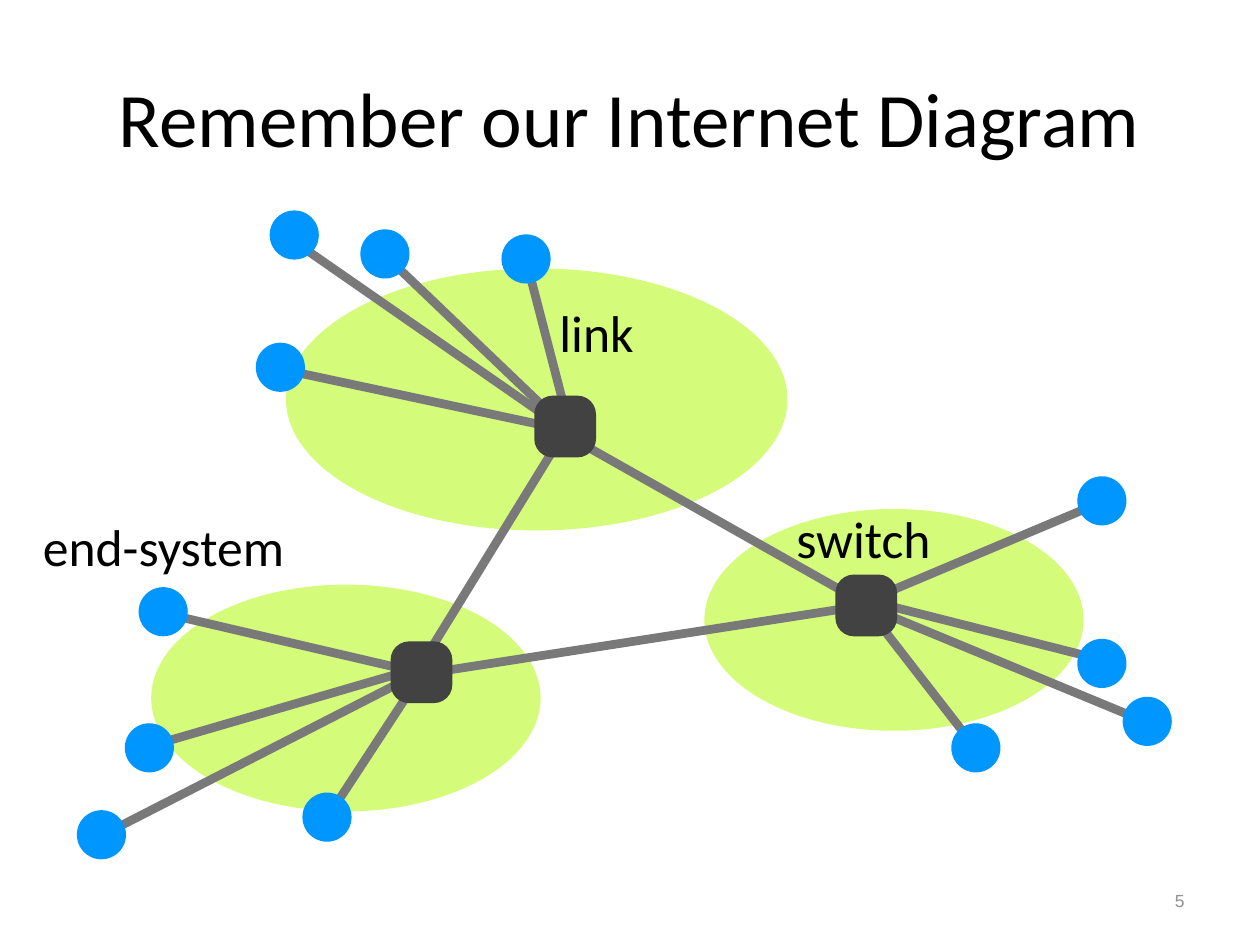
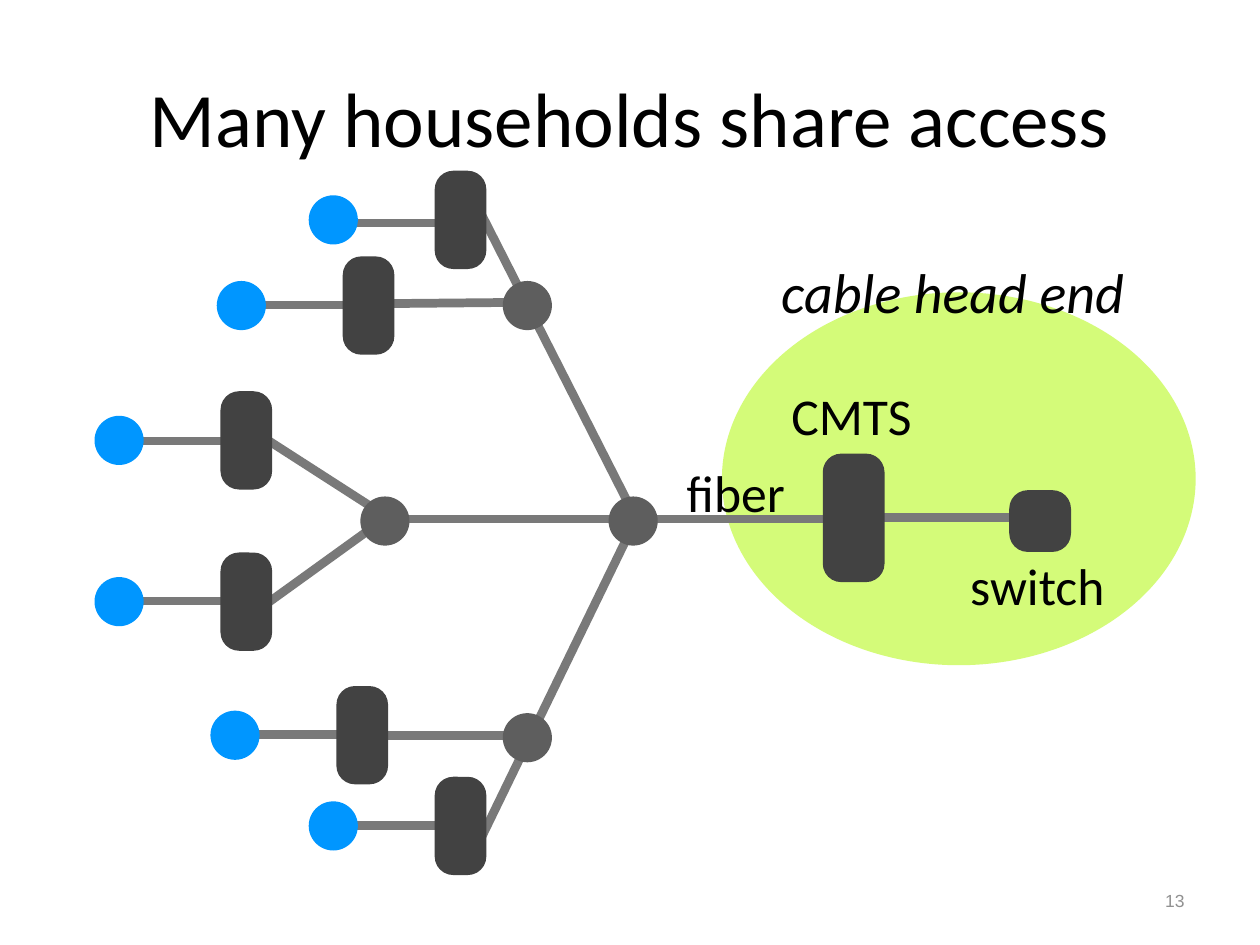
from dataclasses import dataclass

import pptx
import pptx.dml.color
import pptx.enum.shapes
import pptx.enum.text
import pptx.oxml.ns
import pptx.presentation
import pptx.shapes.autoshape
import pptx.slide
import pptx.util
from lxml import etree
from pptx.util import Inches

Slide = pptx.slide.Slide
Point = tuple[float, float]
Box = tuple[float, float, float, float]
SHAPE = pptx.enum.shapes.MSO_SHAPE
ALIGN = pptx.enum.text.PP_ALIGN


@dataclass(frozen=True)
class Theme:
    cloud: str = "D4FB79"
    computer: str = "0096FF"
    device: str = "424242"
    splitter: str = "5E5E5E"
    cable: str = "797979"
    ink: str = "000000"
    muted: str = "919191"
    font: str = "Calibri"
    number_font: str = "Arial"
    title_size: float = 44
    caption_size: float = 32
    label_size: float = 29.5
    number_size: float = 10
    cable_width: float = 5


THEME = Theme()
DISK = 0.39
SWITCH = 0.49
MODEM_WIDTH, MODEM_HEIGHT = 0.41, 0.78
MODEM_OFFSET = 1.0  # from the left of a computer to the left of its modem


@dataclass(frozen=True)
class Link:
    start: Point
    end: Point


@dataclass(frozen=True)
class EndSystem:
    corner: Point
    link: Link


@dataclass(frozen=True)
class Network:
    cloud: Box
    switch: Point
    end_systems: tuple[EndSystem, ...]


@dataclass(frozen=True)
class Household:
    computer: Point
    cable_y: float


@dataclass(frozen=True)
class Label:
    text: str
    box: Box
    wrap: bool = False
    size: float = THEME.label_size
    italic: bool = False


# Shared drawing functions

def rgb(colour: str) -> pptx.dml.color.RGBColor:
    return pptx.dml.color.RGBColor.from_string(colour)


def add_text(slide: Slide, text: str, box: Box, *, size: float, font: str = THEME.font,
             colour: str = THEME.ink, align: ALIGN = ALIGN.LEFT, italic: bool = False,
             wrap: bool = True, grow: bool = False, inset: float | None = None) -> None:
    frame = slide.shapes.add_textbox(*map(Inches, box)).text_frame
    frame.word_wrap = wrap
    frame.vertical_anchor = pptx.enum.text.MSO_ANCHOR.MIDDLE
    if grow:
        frame.auto_size = pptx.enum.text.MSO_AUTO_SIZE.SHAPE_TO_FIT_TEXT
    if inset is not None:
        frame.margin_left = frame.margin_right = Inches(inset)
        frame.margin_top = frame.margin_bottom = Inches(inset)
    paragraph = frame.paragraphs[0]
    paragraph.alignment = align
    run = paragraph.add_run()
    run.text = text
    run.font.name = font
    run.font.size = pptx.util.Pt(size)
    run.font.italic = italic
    run.font.color.rgb = rgb(colour)


def add_label(slide: Slide, label: Label) -> None:
    add_text(slide, label.text, label.box, size=label.size, italic=label.italic,
             wrap=label.wrap, grow=True, inset=0.04)


def add_filled(slide: Slide, kind: SHAPE, box: Box,
               colour: str) -> pptx.shapes.autoshape.Shape:
    shape = slide.shapes.add_shape(kind, *map(Inches, box))
    shape.shadow.inherit = False
    shape.fill.solid()
    shape.fill.fore_color.rgb = rgb(colour)
    shape.line.fill.background()
    return shape


def add_cloud(slide: Slide, box: Box) -> None:
    add_filled(slide, SHAPE.OVAL, box, THEME.cloud)


def add_disk(slide: Slide, corner: Point, colour: str = THEME.computer) -> None:
    add_filled(slide, SHAPE.OVAL, (*corner, DISK, DISK), colour)


def add_device(slide: Slide, corner: Point, width: float = SWITCH,
               height: float = SWITCH, rounding: float = 0.3) -> None:
    device = add_filled(slide, SHAPE.ROUNDED_RECTANGLE, (*corner, width, height), THEME.device)
    device.adjustments[0] = rounding


def add_link(slide: Slide, link: Link) -> None:
    cable = slide.shapes.add_connector(pptx.enum.shapes.MSO_CONNECTOR.STRAIGHT,
                                       *map(Inches, (*link.start, *link.end)))
    cable.line.color.rgb = rgb(THEME.cable)
    cable.line.width = pptx.util.Pt(THEME.cable_width)
    etree.SubElement(cable._element.spPr, pptx.oxml.ns.qn("a:effectLst"))


def new_slide(deck: pptx.presentation.Presentation, title: str, number: int) -> Slide:
    slide = deck.slides.add_slide(deck.slide_layouts[6])
    add_text(slide, title, (0.5, 0.3, 9, 1.25), size=THEME.title_size, align=ALIGN.CENTER)
    add_text(slide, str(number), (7.17, 6.95, 2.33, 0.4), size=THEME.number_size,
             font=THEME.number_font, colour=THEME.muted, align=ALIGN.RIGHT)
    return slide


# Internet diagram

NETWORKS = (
    Network((5.59, 4.04, 3.01, 1.76), (6.63, 4.56), (
        EndSystem((8.55, 3.78), Link((8.73, 3.99), (6.83, 4.79))),
        EndSystem((8.55, 5.07), Link((8.72, 5.23), (6.9, 4.77))),
        EndSystem((8.91, 5.53), Link((9.12, 5.74), (6.85, 4.8))),
        EndSystem((7.55, 5.74), Link((7.73, 5.92), (6.9, 4.85))),
    )),
    Network((2.27, 2.13, 3.98, 2.08), (4.24, 3.14), (
        EndSystem((2.03, 2.72), Link((2.23, 2.93), (4.43, 3.4))),
        EndSystem((2.14, 1.67), Link((2.34, 1.92), (4.4, 3.35))),
        EndSystem((2.86, 1.82), Link((3.06, 2.03), (4.43, 3.34))),
        EndSystem((3.98, 1.86), Link((4.19, 2.12), (4.53, 3.43))),
    )),
    Network((1.2, 4.64, 3.09, 1.8), (3.1, 5.09), (
        EndSystem((1.1, 4.66), Link((1.27, 4.86), (3.29, 5.33))),
        EndSystem((0.99, 5.74), Link((1.16, 5.93), (3.29, 5.31))),
        EndSystem((0.61, 6.43), Link((0.77, 6.65), (3.27, 5.37))),
        EndSystem((2.4, 6.29), Link((2.63, 6.44), (3.33, 5.37))),
    )),
)
BACKBONE = (
    Link((4.42, 3.41), (6.88, 4.8)),
    Link((4.49, 3.41), (3.34, 5.28)),
    Link((6.9, 4.8), (3.35, 5.35)),
)
INTERNET_LABELS = (
    Label("end-system", (0.3, 4.04, 2.28, 0.58), wrap=True),
    Label("switch", (6.28, 3.98, 1.23, 0.58)),
    Label("link", (4.4, 2.34, 0.7, 0.58)),
)


def build_internet(deck: pptx.presentation.Presentation) -> None:
    slide = new_slide(deck, "Remember our Internet Diagram", 5)
    end_systems = [system for network in NETWORKS for system in network.end_systems]
    for network in NETWORKS:
        add_cloud(slide, network.cloud)
    for link in (*(system.link for system in end_systems), *BACKBONE):
        add_link(slide, link)
    for system in end_systems:
        add_disk(slide, system.corner)
    for label in INTERNET_LABELS:
        add_label(slide, label)
    for network in NETWORKS:
        add_device(slide, network.switch)


# Shared cable access

HOUSEHOLDS = (
    Household((2.45, 1.55), 1.77),
    Household((1.72, 2.23), 2.42),
    Household((0.75, 3.3), 3.5),
    Household((0.75, 4.58), 4.77),
    Household((1.67, 5.64), 5.83),
    Household((2.45, 6.36), 6.55),
)
SPLITTERS = ((3.99, 2.23), (2.86, 3.94), (3.99, 5.66), (4.83, 3.94))
SHARED_CABLES = (
    Link((2.88, 5.84), (4.19, 5.84)),
    Link((3.81, 6.67), (5, 4.22)),
    Link((3.78, 1.62), (5.03, 4.08)),
    Link((2.05, 4.84), (3.09, 4.09)),
    Link((3.03, 2.41), (4.1, 2.4)),
    Link((2.12, 3.49), (3.13, 4.14)),
    Link((3.15, 4.12), (5, 4.12)),
    Link((5.02, 4.12), (6.86, 4.12)),
    Link((6.94, 4.11), (8.33, 4.11)),
)
ACCESS_LABELS = (
    Label("switch", (7.66, 4.35, 1.23, 0.58)),
    Label("CMTS", (6.24, 3.01, 1.25, 0.57)),
    Label("fiber", (5.41, 3.61, 0.88, 0.58)),
    Label("cable head end", (6.16, 2, 3.2, 0.62), wrap=True,
          size=THEME.caption_size, italic=True),
)


def add_household(slide: Slide, household: Household) -> None:
    left, top = household.computer
    modem_left = left + MODEM_OFFSET
    add_link(slide, Link((left + DISK / 2, household.cable_y),
                         (modem_left + MODEM_WIDTH / 2, household.cable_y)))
    add_disk(slide, household.computer)
    add_device(slide, (modem_left, top - (MODEM_HEIGHT - DISK) / 2),
               MODEM_WIDTH, MODEM_HEIGHT, rounding=0.36)


def build_access(deck: pptx.presentation.Presentation) -> None:
    slide = new_slide(deck, "Many households share access", 13)
    add_cloud(slide, (5.73, 2.32, 3.76, 2.96))
    for cable in SHARED_CABLES:
        add_link(slide, cable)
    for household in HOUSEHOLDS:
        add_household(slide, household)
    for splitter in SPLITTERS:
        add_disk(slide, splitter, THEME.splitter)
    # Head end: termination system and switch
    add_device(slide, (6.53, 3.6), height=1.02)
    add_device(slide, (8.01, 3.89))
    for label in ACCESS_LABELS:
        add_label(slide, label)


def main() -> None:
    deck = pptx.Presentation()
    deck.slide_width, deck.slide_height = Inches(10), Inches(7.5)
    build_internet(deck)
    build_access(deck)
    deck.save("out.pptx")


if __name__ == "__main__":
    main()
